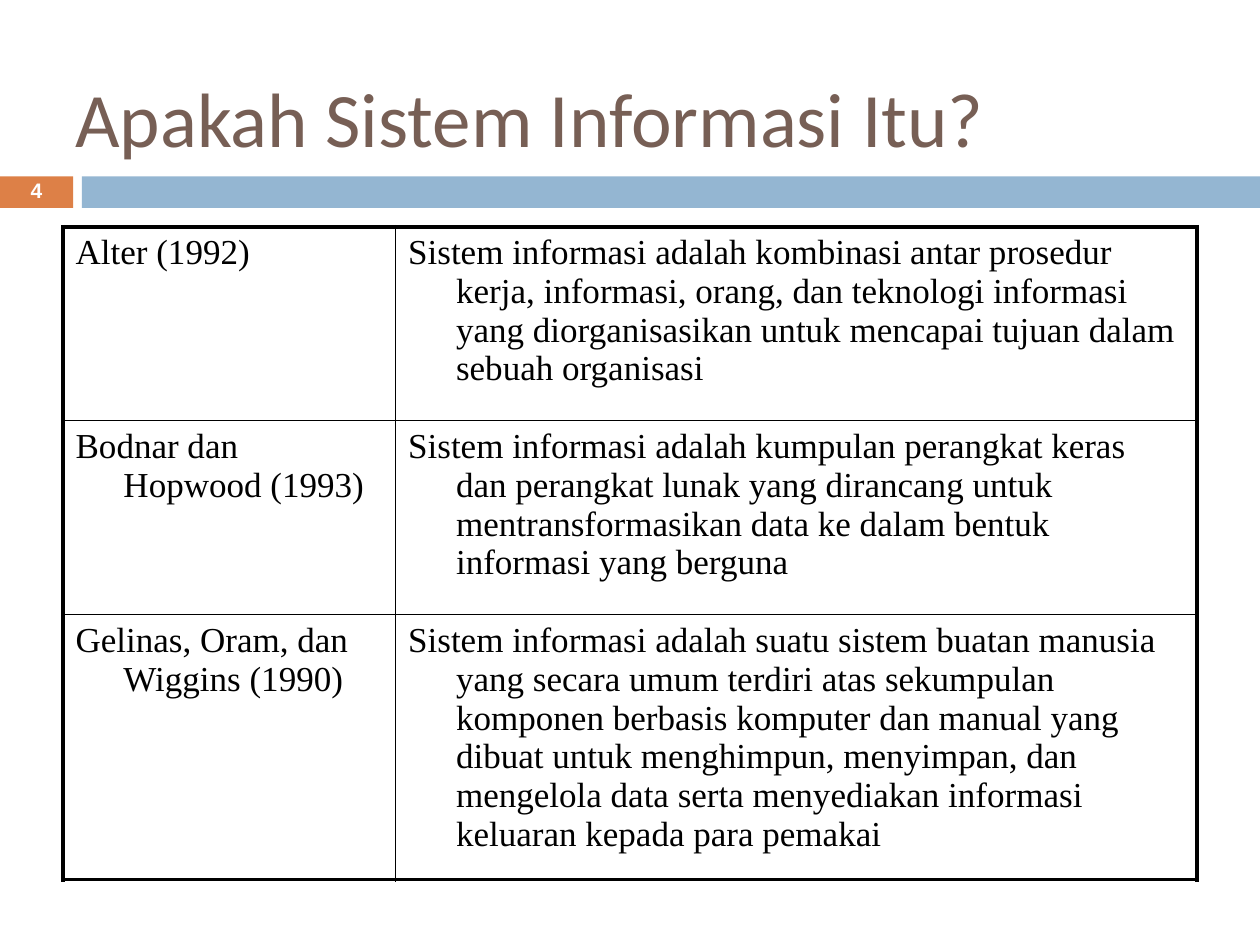
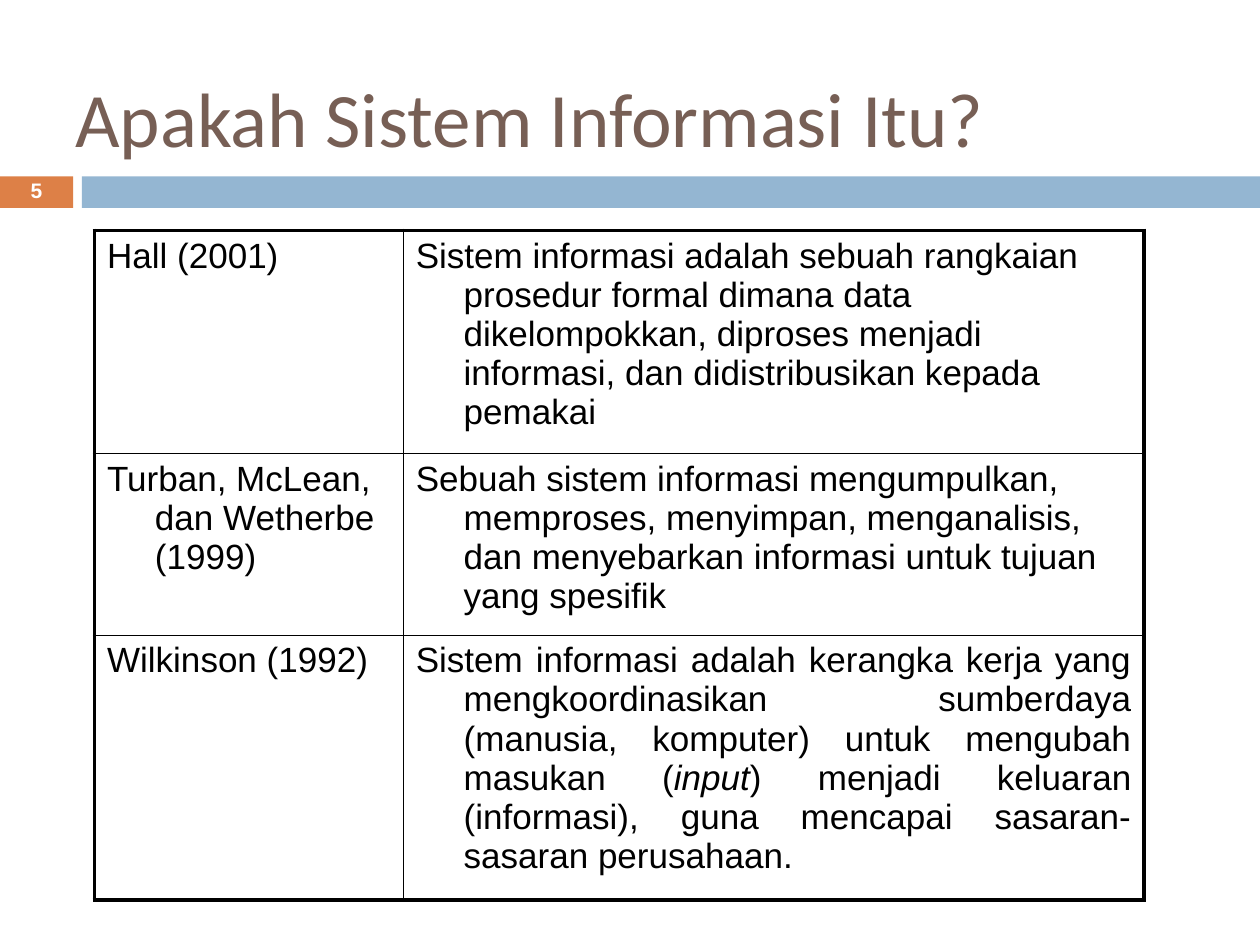
from dataclasses import dataclass
from lxml.etree import SubElement
from pptx import Presentation
from pptx.dml.color import RGBColor
from pptx.enum.shapes import MSO_SHAPE
from pptx.enum.text import MSO_ANCHOR, PP_ALIGN
from pptx.oxml.ns import qn
from pptx.slide import Slide
from pptx.table import _Cell
from pptx.text.text import TextFrame
from pptx.util import Inches, Pt

BROWN, ORANGE, BLUE = "775F55", "DD8047", "94B6D2"
BLACK, WHITE = "000000", "FFFFFF"
THICK, THIN = 2.5, 0.45
HANG = 0.38
TITLE = "Apakah Sistem Informasi Itu?"


@dataclass(frozen=True)
class Box:
    left: float
    top: float
    width: float
    height: float

    def place(self) -> tuple:
        return tuple(Inches(v) for v in (self.left, self.top, self.width, self.height))


@dataclass(frozen=True)
class Band:
    box: Box
    fill: str


@dataclass(frozen=True)
class Quote:
    source: str
    text: str
    height: float
    align: PP_ALIGN = PP_ALIGN.LEFT


@dataclass(frozen=True)
class Page:
    number: int
    font: str
    left: float
    top: float
    cols: tuple[float, float]
    quotes: tuple[Quote, ...]


BANDS = (
    Band(Box(0, 1.4, 0.58, 0.25), ORANGE),
    Band(Box(0.65, 1.4, 9.35, 0.25), BLUE),
)

PAGES = (
    Page(4, "Times New Roman", 0.5, 1.8, (2.64, 6.36), (
        Quote("Alter (1992)",
              "Sistem informasi adalah kombinasi antar prosedur kerja, informasi, "
              "orang, dan teknologi informasi yang diorganisasikan untuk mencapai "
              "tujuan dalam sebuah organisasi", 1.54),
        Quote("Bodnar dan Hopwood (1993)",
              "Sistem informasi adalah kumpulan perangkat keras dan perangkat lunak "
              "yang dirancang untuk mentransformasikan data ke dalam bentuk "
              "informasi yang berguna", 1.54),
        Quote("Gelinas, Oram, dan Wiggins (1990)",
              "Sistem informasi adalah suatu sistem buatan manusia yang secara umum "
              "terdiri atas sekumpulan komponen berbasis komputer dan manual yang "
              "dibuat untuk menghimpun, menyimpan, dan mengelola data serta "
              "menyediakan informasi keluaran kepada para pemakai", 2.1),
    )),
    Page(5, "Arial", 0.75, 1.83, (2.45, 5.88), (
        Quote("Hall (2001)",
              "Sistem informasi adalah sebuah rangkaian prosedur formal dimana data "
              "dikelompokkan, diproses menjadi informasi, dan didistribusikan "
              "kepada pemakai", 1.77),
        Quote("Turban, McLean, dan Wetherbe (1999)",
              "Sebuah sistem informasi mengumpulkan, memproses, menyimpan, "
              "menganalisis, dan menyebarkan informasi untuk tujuan yang spesifik",
              1.44),
        Quote("Wilkinson (1992)",
              "Sistem informasi adalah kerangka kerja yang mengkoordinasikan "
              "sumberdaya (manusia, komputer) untuk mengubah masukan (*input*) "
              "menjadi keluaran (informasi), guna mencapai sasaran-sasaran "
              "perusahaan.", 2.1, PP_ALIGN.JUSTIFY),
    )),
)


def color(code: str) -> RGBColor:
    return RGBColor.from_string(code)


def write(frame: TextFrame, text: str, *, font: str, size: float, ink: str = BLACK,
          bold: bool = False, align: PP_ALIGN = PP_ALIGN.LEFT,
          space: float = 1.0, hang: float = 0) -> None:
    frame.word_wrap = True
    para = frame.paragraphs[0]
    para.alignment = align
    para.line_spacing = space
    if hang:
        props = para._p.get_or_add_pPr()
        props.set("marL", str(Inches(hang)))
        props.set("indent", str(-Inches(hang)))
    for i, part in enumerate(text.split("*")):
        run = para.add_run()
        run.text = part
        run.font.name = font
        run.font.size = Pt(size)
        run.font.bold = bold
        run.font.italic = i % 2 == 1
        run.font.color.rgb = color(ink)


def add_text(slide: Slide, box: Box, text: str, **style) -> None:
    frame = slide.shapes.add_textbox(*box.place()).text_frame
    frame.vertical_anchor = MSO_ANCHOR.MIDDLE
    write(frame, text, **style)


def add_band(slide: Slide, band: Band) -> None:
    shape = slide.shapes.add_shape(MSO_SHAPE.RECTANGLE, *band.box.place())
    shape.shadow.inherit = False
    shape.fill.solid()
    shape.fill.fore_color.rgb = color(band.fill)
    shape.line.fill.background()


def add_edge(cell: _Cell, side: str, width: float) -> None:
    line = SubElement(cell._tc.get_or_add_tcPr(), qn(f"a:ln{side}"), w=str(Pt(width)))
    fill = SubElement(line, qn("a:solidFill"))
    SubElement(fill, qn("a:srgbClr"), val=BLACK)


def add_grid(slide: Slide, page: Page) -> None:
    quotes = page.quotes
    box = Box(page.left, page.top, sum(page.cols), sum(q.height for q in quotes))
    table = slide.shapes.add_table(len(quotes), len(page.cols), *box.place()).table
    table.first_row = table.horz_banding = False
    for col, width in zip(table.columns, page.cols):
        col.width = Inches(width)
    for r, quote in enumerate(quotes):
        table.rows[r].height = Inches(quote.height)
        pairs = ((quote.source, PP_ALIGN.LEFT), (quote.text, quote.align))
        for c, (text, align) in enumerate(pairs):
            cell = table.cell(r, c)
            outer = {"L": c == 0, "R": c == len(pairs) - 1,
                     "T": r == 0, "B": r == len(quotes) - 1}
            for side, thick in outer.items():
                add_edge(cell, side, THICK if thick else THIN)
            cell.fill.background()
            write(cell.text_frame, text, font=page.font, size=20,
                  align=align, hang=HANG)


def add_page(deck: Presentation, page: Page) -> None:
    slide = deck.slides.add_slide(deck.slide_layouts[6])
    for band in BANDS:
        add_band(slide, band)
    add_text(slide, Box(0.5, 0.3, 9, 1.25), TITLE, font="Calibri", size=44, ink=BROWN)
    add_grid(slide, page)
    add_text(slide, Box(0, 1.39, 0.58, 0.27), str(page.number), font="Arial", size=12,
             ink=WHITE, bold=True, align=PP_ALIGN.CENTER, space=0.8)


def main() -> None:
    deck = Presentation()
    deck.slide_width, deck.slide_height = Inches(10), Inches(7.5)
    for page in PAGES:
        add_page(deck, page)
    deck.save("out.pptx")


if __name__ == "__main__":
    main()
